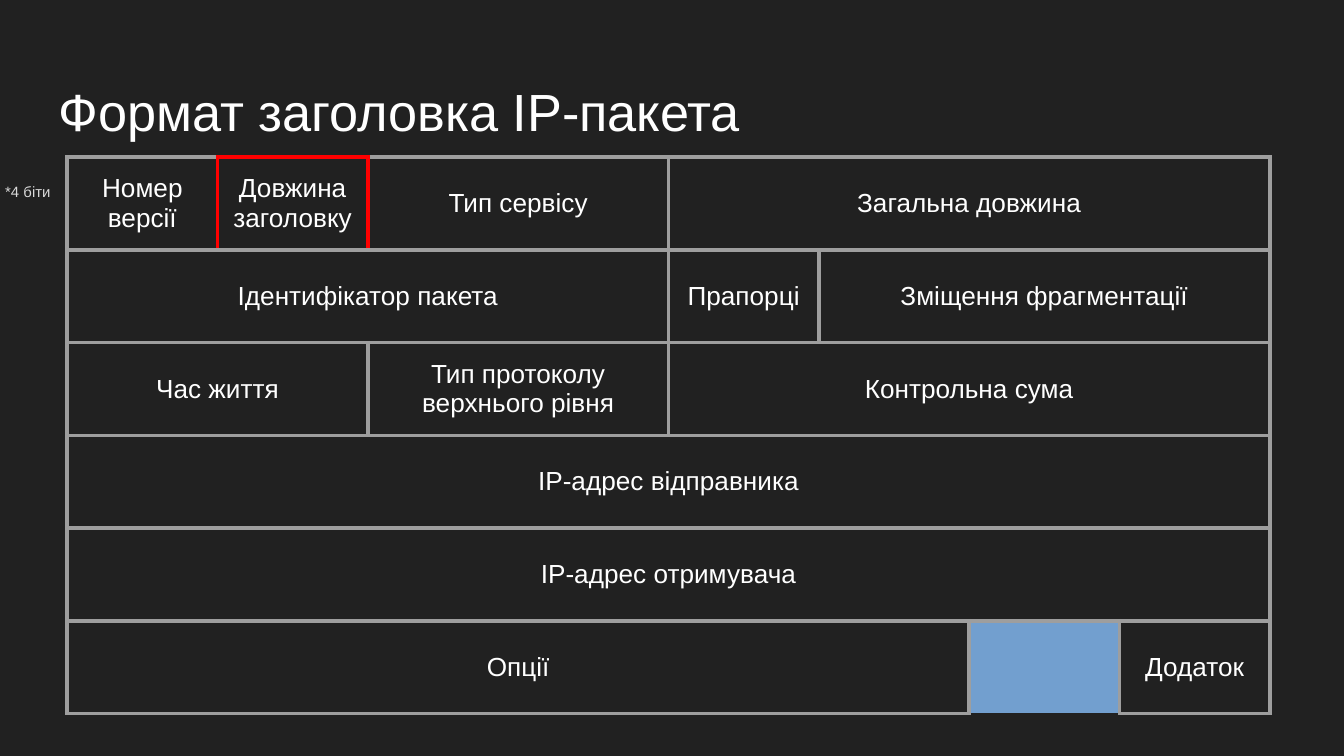
from lxml import etree
from pptx import Presentation
from pptx.dml.color import RGBColor
from pptx.enum.text import MSO_ANCHOR, PP_ALIGN
from pptx.oxml.ns import qn
from pptx.util import Inches, Pt

MIDDLE = MSO_ANCHOR.MIDDLE
LEFT, CENTER = PP_ALIGN.LEFT, PP_ALIGN.CENTER
GREY, RED = "9E9E9E", "FF0000"
EDGES = {"l": "a:lnL", "r": "a:lnR", "t": "a:lnT", "b": "a:lnB"}
COLS = 8

ROWS = [
    [("Номер версії", 1, {"r": RED}),
     ("Довжина заголовку", 1, {"l": RED, "r": RED, "t": RED}),
     ("Тип сервісу", 2, {"l": RED}),
     ("Загальна довжина", 4, {})],
    [("Ідентифікатор пакета", 4, {}), ("Прапорці", 1, {}),
     ("Зміщення фрагментації", 3, {})],
    [("Час життя", 2, {}), ("Тип протоколу\nверхнього рівня", 2, {}),
     ("Контрольна сума", 4, {})],
    [("IP-адрес відправника", 8, {})],
    [("ІР-адрес отримувача", 8, {})],
    [("Опції", 6, {}), ("Додаток", 2, {})],
]


def color(code):
    return RGBColor.from_string(code)


def write(frame, text, size=14, ink="FFFFFF", align=LEFT, space=1.0):
    frame.word_wrap = True
    frame.text = text
    for para in frame.paragraphs:
        para.alignment = align
        para.line_spacing = space
        for run in para.runs:
            run.font.name = "Arial"
            run.font.size = Pt(size)
            run.font.color.rgb = color(ink)


def border(cell, edges):
    props = cell._tc.get_or_add_tcPr()
    for side, tag in EDGES.items():
        line = etree.SubElement(props, qn(tag), w=str(Pt(2.25)))
        fill = etree.SubElement(line, qn("a:solidFill"))
        etree.SubElement(fill, qn("a:srgbClr"), val=edges.get(side, GREY))


def pad(item):
    item.margin_left = item.margin_right = Inches(0.1)
    item.margin_top = item.margin_bottom = Inches(0.1)


class Deck:
    """Holds the style and the current slide."""

    def __init__(self):
        self.file = Presentation()
        self.file.slide_width = Inches(10)
        self.file.slide_height = Inches(10) * 9 // 16
        self.slide = self.file.slides.add_slide(self.file.slide_layouts[6])
        back = self.slide.background.fill
        back.solid()
        back.fore_color.rgb = color("212121")

    def label(self, text, left, top, width, height, **style):
        box = self.slide.shapes.add_textbox(
            Inches(left), Inches(top), Inches(width), Inches(height))
        pad(box.text_frame)
        write(box.text_frame, text, **style)

    def cell(self, cell, edges):
        border(cell, edges)
        pad(cell)
        cell.vertical_anchor = MIDDLE
        cell.fill.background()

    def table(self, rows, left, top, width, height):
        grid = self.slide.shapes.add_table(
            len(rows), COLS, Inches(left), Inches(top),
            Inches(width), Inches(height)).table
        grid.first_row = grid.horz_banding = False
        for y, row in enumerate(rows):
            x = 0
            for text, span, edges in row:
                for step in range(span):
                    self.cell(grid.cell(y, x + step), edges)
                head = grid.cell(y, x)
                if span > 1:
                    head.merge(grid.cell(y, x + span - 1))
                write(head.text_frame, text, align=CENTER)
                x += span


def main():
    deck = Deck()
    deck.label("Формат заголовка IP-пакета", 0.34, 0.49, 9.32, 0.63, size=28)
    deck.table(ROWS, 0.5, 1.17, 8.95, 4.14)
    deck.label("*4 біти", -0.06, 1.26, 0.63, 0.32,
               size=8, ink="D9D9D9", space=1.15)
    deck.file.save("out.pptx")


if __name__ == "__main__":
    main()
